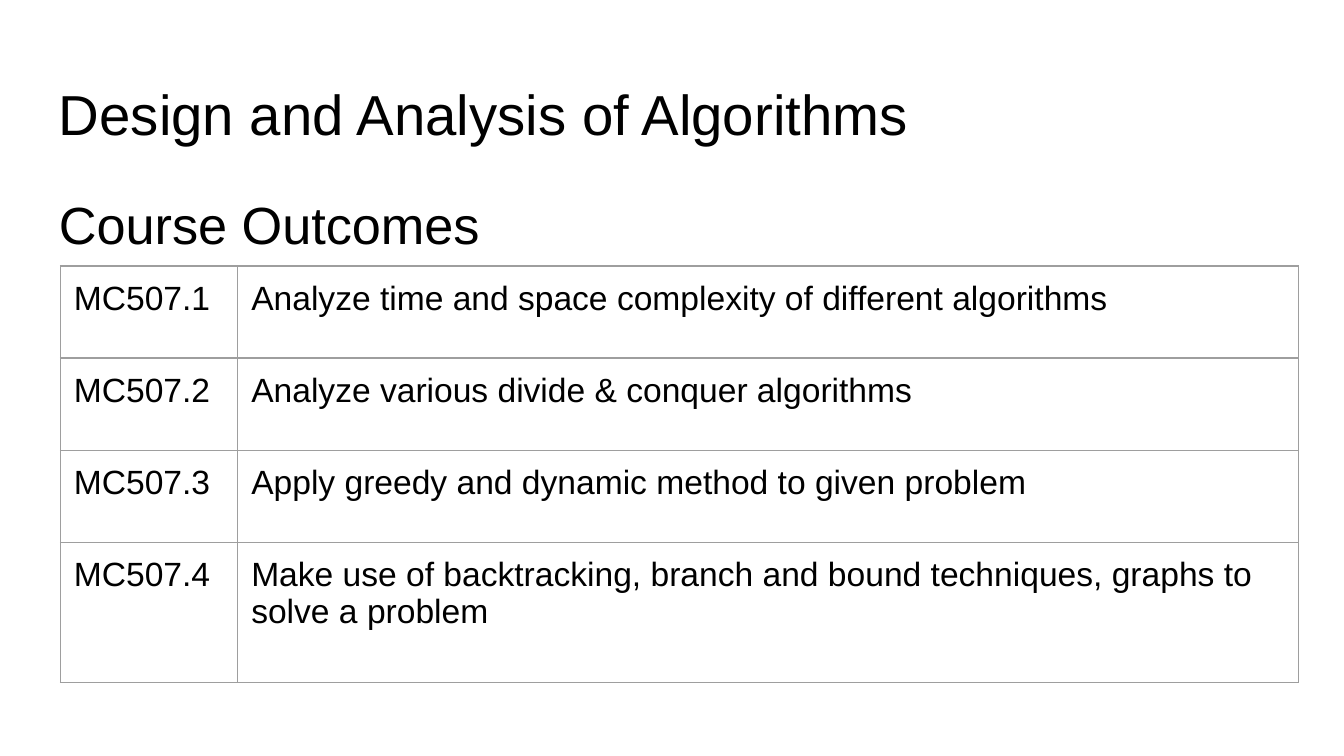
from dataclasses import dataclass

from lxml import etree
from pptx import Presentation
from pptx.dml.color import RGBColor
from pptx.enum.text import MSO_ANCHOR
from pptx.oxml.ns import qn
from pptx.util import Pt

TOP = MSO_ANCHOR.TOP
PX = 4572


@dataclass(frozen=True)
class Theme:
    """Colours, font and type sizes of the slide."""
    font: str = "Arial"
    ink: str = "000000"
    paper: str = "FFFFFF"
    rule: str = "9E9E9E"
    rule_width: float = 0.75
    title: float = 30.2
    heading: float = 28
    cell: float = 18
    inset: int = 20


THEME = Theme()
OUTCOMES = [
    ("MC507.1", "Analyze time and space complexity of different algorithms"),
    ("MC507.2", "Analyze various divide & conquer algorithms"),
    ("MC507.3", "Apply greedy and dynamic method to given problem"),
    ("MC507.4", "Make use of backtracking, branch and bound techniques, graphs to solve a problem"),
]


def px(n):
    """Turn px into EMU."""
    return n * PX


def add_run(p, text, size):
    """Add one styled run to a paragraph."""
    r = p.add_run()
    r.text = text
    r.font.name = THEME.font
    r.font.size = Pt(size)
    r.font.color.rgb = RGBColor.from_string(THEME.ink)


def set_insets(frame):
    """Set equal margins in a text frame or a cell."""
    frame.margin_left = frame.margin_right = px(THEME.inset)
    frame.margin_top = frame.margin_bottom = px(THEME.inset)


def add_text(s, box, text, size):
    """Place a line of text in a box and return its paragraph."""
    tf = s.shapes.add_textbox(*map(px, box)).text_frame
    tf.word_wrap = True
    tf.vertical_anchor = TOP
    set_insets(tf)
    p = tf.paragraphs[0]
    add_run(p, text, size)
    return p


def add_heading(s, box, text):
    """Place the section heading with its paragraph spacing."""
    p = add_text(s, box, text, THEME.heading)
    p.line_spacing = 1.15
    p.space_after = Pt(12)


def set_borders(cell):
    """Rule all four sides of a cell."""
    tc_pr = cell._tc.get_or_add_tcPr()
    for i, side in enumerate(("a:lnL", "a:lnR", "a:lnT", "a:lnB")):
        ln = etree.Element(qn(side), w=str(Pt(THEME.rule_width)))
        fill = etree.SubElement(ln, qn("a:solidFill"))
        etree.SubElement(fill, qn("a:srgbClr"), val=THEME.rule)
        tc_pr.insert(i, ln)


def add_outcomes(s, box, rows):
    """Place the outcome table, with a taller last row."""
    x, y, w, h = box
    code_w, row_h = 264, 137
    table = s.shapes.add_table(len(rows), 2, *map(px, box)).table
    table.first_row = table.horz_banding = False
    table.columns[0].width = px(code_w)
    table.columns[1].width = px(w - code_w)
    last = len(rows) - 1
    for i, row in enumerate(rows):
        table.rows[i].height = px(h - row_h * last if i == last else row_h)
        for j, text in enumerate(row):
            cell = table.cell(i, j)
            cell.fill.background()
            cell.vertical_anchor = TOP
            set_insets(cell)
            set_borders(cell)
            add_run(cell.text_frame.paragraphs[0], text, THEME.cell)


def main():
    """Build and save the course outcomes slide."""
    prs = Presentation()
    prs.slide_width, prs.slide_height = px(2000), px(1125)
    s = prs.slides.add_slide(prs.slide_layouts[6])
    s.background.fill.solid()
    s.background.fill.fore_color.rgb = RGBColor.from_string(THEME.paper)
    add_text(s, (68, 98, 1864, 126), "Design and Analysis of Algorithms", THEME.title)
    add_heading(s, (68, 252, 1864, 748), "Course Outcomes")
    add_outcomes(s, (90, 396, 1842, 620), OUTCOMES)
    prs.save("out.pptx")


if __name__ == "__main__":
    main()
